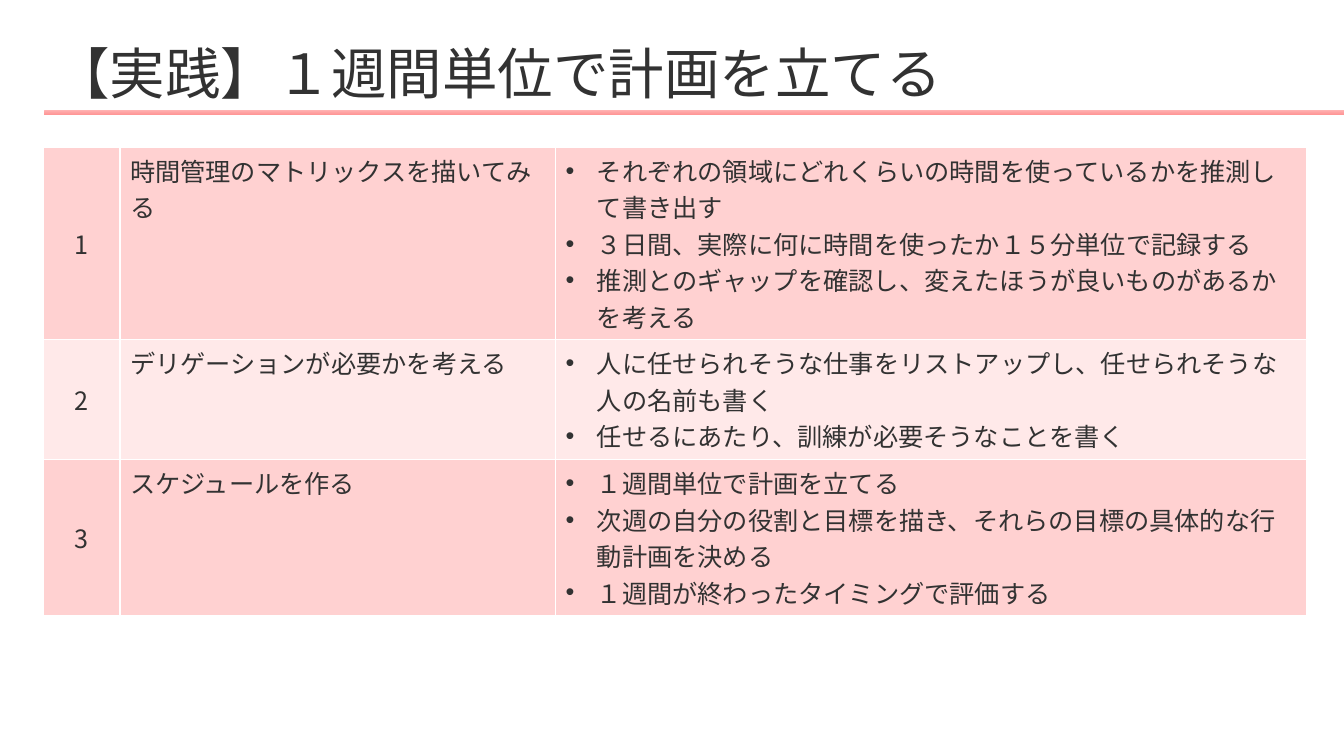
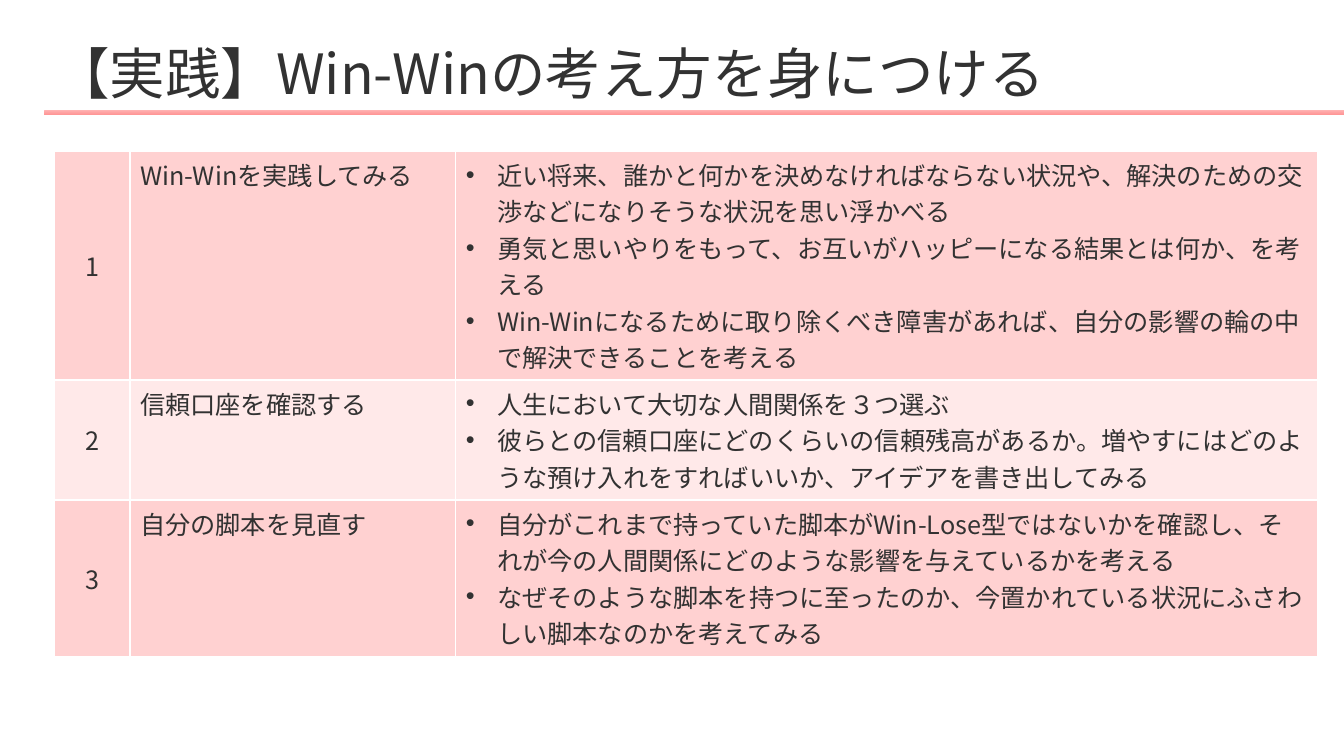
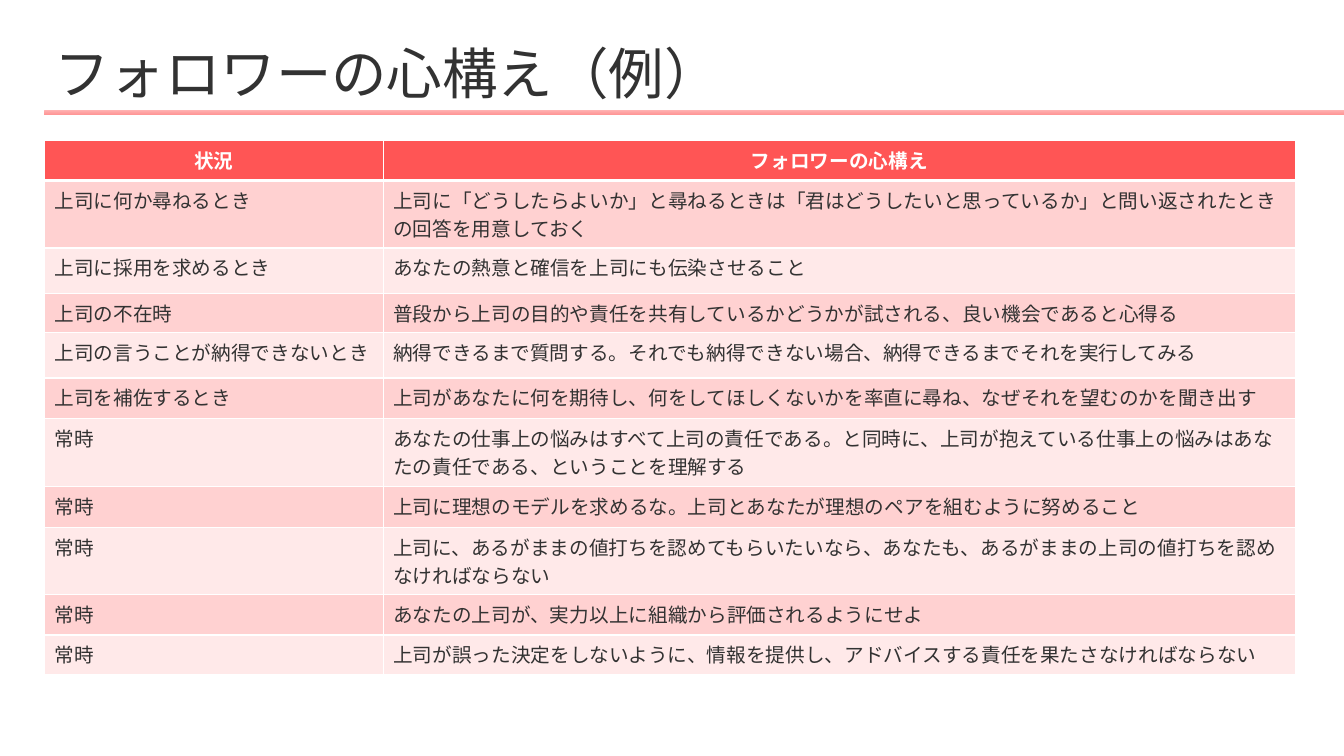
from lxml.etree import SubElement
from pptx import Presentation
from pptx.dml.color import RGBColor
from pptx.enum.lang import MSO_LANGUAGE_ID
from pptx.enum.shapes import MSO_SHAPE
from pptx.enum.text import MSO_ANCHOR, PP_ALIGN
from pptx.oxml.ns import qn
from pptx.util import Inches, Pt

FONT_NAME = "Noto Sans CJK JP"
BULLET_FONT = "Arial"
DARK = RGBColor(0x32, 0x32, 0x32)
WHITE = RGBColor(0xFF, 0xFF, 0xFF)
RED = RGBColor(0xFF, 0x55, 0x55)
ROW_FILLS = (RGBColor(0xFF, 0xD1, 0xD1), RGBColor(0xFF, 0xE9, 0xE9))
RULE_COLORS = (RGBColor(0xFF, 0xB4, 0xB4), RGBColor(0xFF, 0x95, 0x95))

TITLE_FORMAT = {"size": Pt(39.6), "color": DARK}
STEP_FORMAT = {"size": Pt(18), "color": DARK}
HEADER_FORMAT = {"size": Pt(14), "color": WHITE, "bold": True}
BODY_FORMAT = {"size": Pt(14), "color": DARK}
BULLET_INDENT = Inches(0.31)
BORDER_SIDES = ("L", "R", "T", "B")

WEEK_STEPS = [
    ("時間管理のマトリックスを描いてみる", [
        "それぞれの領域にどれくらいの時間を使っているかを推測して書き出す",
        "３日間、実際に何に時間を使ったか１５分単位で記録する",
        "推測とのギャップを確認し、変えたほうが良いものがあるかを考える",
    ]),
    ("デリゲーションが必要かを考える", [
        "人に任せられそうな仕事をリストアップし、任せられそうな人の名前も書く",
        "任せるにあたり、訓練が必要そうなことを書く",
    ]),
    ("スケジュールを作る", [
        "１週間単位で計画を立てる",
        "次週の自分の役割と目標を描き、それらの目標の具体的な行動計画を決める",
        "１週間が終わったタイミングで評価する",
    ]),
]

WIN_WIN_STEPS = [
    ("Win-Winを実践してみる", [
        "近い将来、誰かと何かを決めなければならない状況や、解決のための交渉などになりそうな状況を思い浮かべる",
        "勇気と思いやりをもって、お互いがハッピーになる結果とは何か、を考える",
        "Win-Winになるために取り除くべき障害があれば、自分の影響の輪の中で解決できることを考える",
    ]),
    ("信頼口座を確認する", [
        "人生において大切な人間関係を３つ選ぶ",
        "彼らとの信頼口座にどのくらいの信頼残高があるか。増やすにはどのような預け入れをすればいいか、アイデアを書き出してみる",
    ]),
    ("自分の脚本を見直す", [
        "自分がこれまで持っていた脚本がWin-Lose型ではないかを確認し、それが今の人間関係にどのような影響を与えているかを考える",
        "なぜそのような脚本を持つに至ったのか、今置かれている状況にふさわしい脚本なのかを考えてみる",
    ]),
]

FOLLOWER_HEADER = ("状況", "フォロワーの心構え")
FOLLOWER_ROWS = [
    ("上司に何か尋ねるとき",
     "上司に「どうしたらよいか」と尋ねるときは「君はどうしたいと思っているか」と問い返されたときの回答を用意しておく"),
    ("上司に採用を求めるとき", "あなたの熱意と確信を上司にも伝染させること"),
    ("上司の不在時",
     "普段から上司の目的や責任を共有しているかどうかが試される、良い機会であると心得る"),
    ("上司の言うことが納得できないとき",
     "納得できるまで質問する。それでも納得できない場合、納得できるまでそれを実行してみる"),
    ("上司を補佐するとき",
     "上司があなたに何を期待し、何をしてほしくないかを率直に尋ね、なぜそれを望むのかを聞き出す"),
    ("常時",
     "あなたの仕事上の悩みはすべて上司の責任である。と同時に、上司が抱えている仕事上の悩みはあなたの責任である、ということを理解する"),
    ("常時",
     "上司に理想のモデルを求めるな。上司とあなたが理想のペアを組むように努めること"),
    ("常時",
     "上司に、あるがままの値打ちを認めてもらいたいなら、あなたも、あるがままの上司の値打ちを認めなければならない"),
    ("常時", "あなたの上司が、実力以上に組織から評価されるようにせよ"),
    ("常時",
     "上司が誤った決定をしないように、情報を提供し、アドバイスする責任を果たさなければならない"),
]
FOLLOWER_HEIGHTS = (0.4, 0.67, 0.45, 0.39, 0.45, 0.4, 0.68, 0.4, 0.67, 0.4, 0.39)


def write_run(paragraph, text, text_format):
    run = paragraph.add_run()
    run.text = text
    run.font.name = FONT_NAME
    run.font.language_id = MSO_LANGUAGE_ID.JAPANESE
    for name, value in text_format.items():
        if name == "color":
            run.font.color.rgb = value
        else:
            setattr(run.font, name, value)
    SubElement(run.font._element, qn("a:ea"), typeface=FONT_NAME)


def add_bullet(paragraph):
    properties = paragraph._p.get_or_add_pPr()
    properties.set("marL", str(BULLET_INDENT))
    properties.set("indent", str(-BULLET_INDENT))
    SubElement(properties, qn("a:buFont"), typeface=BULLET_FONT)
    SubElement(properties, qn("a:buChar"), char="•")


def add_title(slide, text):
    rule = slide.shapes.add_shape(
        MSO_SHAPE.RECTANGLE, Inches(0.44), Inches(1.09), Inches(12.9), Inches(0.05))
    rule.shadow.inherit = False
    rule.line.fill.background()
    rule.fill.gradient()
    rule.fill.gradient_angle = 270
    for stop, color in zip(rule.fill.gradient_stops, RULE_COLORS):
        stop.color.rgb = color

    title = slide.shapes.add_textbox(
        Inches(0.44), Inches(0.39), Inches(12.53), Inches(0.73))
    frame = title.text_frame
    frame.word_wrap = True
    frame.vertical_anchor = MSO_ANCHOR.MIDDLE
    frame.paragraphs[0].line_spacing = 0.9
    write_run(frame.paragraphs[0], text, TITLE_FORMAT)


def set_borders(cell, widths):
    properties = cell._tc.get_or_add_tcPr()
    for side, width in zip(BORDER_SIDES, widths):
        line = SubElement(properties, qn(f"a:ln{side}"), w=str(Pt(width)))
        fill = SubElement(line, qn("a:solidFill"))
        SubElement(fill, qn("a:srgbClr"), val=str(WHITE))


def fill_cell(cell, texts, text_format, fill, centered=False, bulleted=False,
              anchor=MSO_ANCHOR.TOP, borders=(1, 1, 1, 1)):
    set_borders(cell, borders)
    cell.fill.solid()
    cell.fill.fore_color.rgb = fill
    cell.vertical_anchor = anchor
    frame = cell.text_frame
    for index, text in enumerate(texts):
        paragraph = frame.add_paragraph() if index else frame.paragraphs[0]
        if bulleted:
            add_bullet(paragraph)
        if centered:
            paragraph.alignment = PP_ALIGN.CENTER
        write_run(paragraph, text, text_format)


def add_grid(slide, left, top, widths, heights):
    table = slide.shapes.add_table(
        len(heights), len(widths), Inches(left), Inches(top),
        Inches(sum(widths)), Inches(sum(heights))).table
    table.first_row = False
    table.horz_banding = False
    for column, width in zip(table.columns, widths):
        column.width = Inches(width)
    for row, height in zip(table.rows, heights):
        row.height = Inches(height)
    return table


def add_step_table(slide, steps, left, top, widths, heights):
    table = add_grid(slide, left, top, widths, heights)
    for index, (step, actions) in enumerate(steps):
        fill = ROW_FILLS[index % 2]
        fill_cell(table.cell(index, 0), [str(index + 1)], STEP_FORMAT, fill,
                  centered=True, anchor=MSO_ANCHOR.MIDDLE)
        fill_cell(table.cell(index, 1), [step], STEP_FORMAT, fill)
        fill_cell(table.cell(index, 2), actions, STEP_FORMAT, fill, bulleted=True)


def add_follower_table(slide):
    table = add_grid(slide, 0.44, 1.39, (3.36, 9.05), FOLLOWER_HEIGHTS)
    for column, text in enumerate(FOLLOWER_HEADER):
        fill_cell(table.cell(0, column), [text], HEADER_FORMAT, RED,
                  centered=True, borders=(1, 1, 1, 3))
    for index, texts in enumerate(FOLLOWER_ROWS):
        top_border = 1 if index else 3
        for column, text in enumerate(texts):
            fill_cell(table.cell(index + 1, column), [text], BODY_FORMAT,
                      ROW_FILLS[index % 2], borders=(1, 1, top_border, 1))


def add_slide(presentation, title):
    slide = presentation.slides.add_slide(presentation.slide_layouts[6])
    add_title(slide, title)
    return slide


def main():
    presentation = Presentation()
    presentation.slide_width = Inches(13.33)
    presentation.slide_height = Inches(7.5)

    week_slide = add_slide(presentation, "【実践】１週間単位で計画を立てる")
    add_step_table(week_slide, WEEK_STEPS, 0.43, 1.46,
                   (0.76, 4.32, 7.45), (1.91, 1.19, 1.55))

    win_win_slide = add_slide(presentation, "【実践】Win-Winの考え方を身につける")
    add_step_table(win_win_slide, WIN_WIN_STEPS, 0.54, 1.5,
                   (0.75, 3.23, 8.55), (2.27, 1.19, 1.55))

    follower_slide = add_slide(presentation, "フォロワーの心構え（例）")
    add_follower_table(follower_slide)

    presentation.save("out.pptx")


if __name__ == "__main__":
    main()
